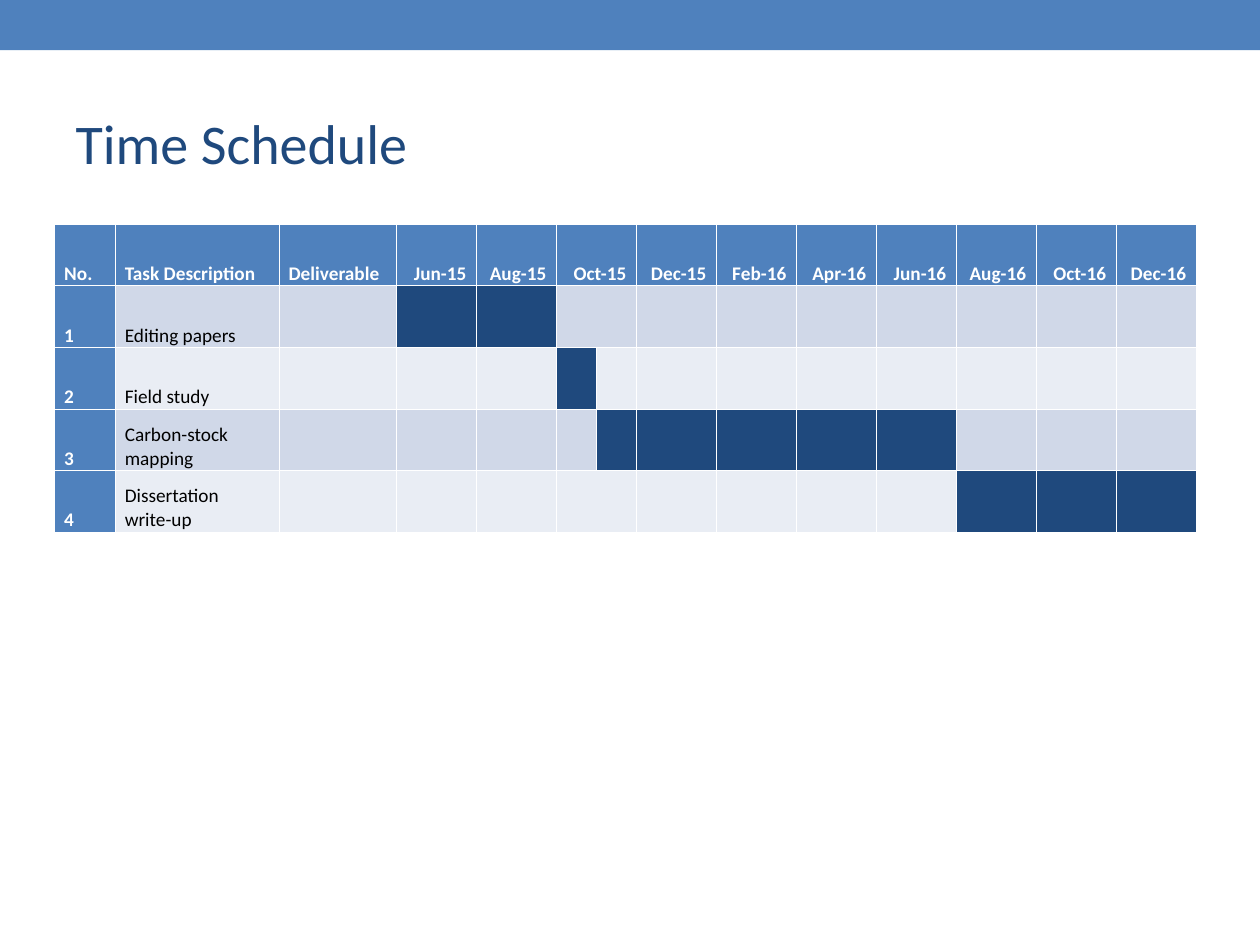
from dataclasses import dataclass

from lxml.etree import SubElement
from pptx import Presentation
from pptx.dml.color import RGBColor as Rgb
from pptx.enum.shapes import MSO_SHAPE as Preset
from pptx.enum.text import MSO_ANCHOR as Anchor, PP_ALIGN as Align
from pptx.oxml.ns import qn
from pptx.util import Pt


@dataclass(frozen=True)
class Theme:
    """Colours, font, type sizes and rule widths of the slide."""
    font: str = "Calibri"
    accent: str = "4F81BD"
    dark: str = "1F497D"
    odd_row: str = "D0D8E8"
    even_row: str = "E9EDF4"
    white: str = "FFFFFF"
    black: str = "000000"
    title_size: float = 32
    table_size: float = 11
    thin: float = 0.23
    thick: float = 0.75


THEME = Theme()
LABELS = ["No.", "Task Description", "Deliverable"]
MONTHS = ["Jun-15", "Aug-15", "Oct-15", "Dec-15", "Feb-16",
          "Apr-16", "Jun-16", "Aug-16", "Oct-16", "Dec-16"]
SPLIT_MONTH = "Oct-15"
TASKS = [
    ("Editing papers", range(3, 5)),
    ("Field study", range(5, 6)),
    ("Carbon-stock mapping", range(6, 11)),
    ("Dissertation write-up", range(11, 14)),
]
LABEL_WIDTHS = [34.6, 93.6, 67]
MONTH_WIDTH = 45.7


def paint(shape, color):
    """Fill a shape or cell with one colour."""
    shape.fill.solid()
    shape.fill.fore_color.rgb = Rgb.from_string(color)


def style_text(paragraph, size, color, bold=False):
    """Format every run of a paragraph."""
    for run in paragraph.runs:
        run.font.name = THEME.font
        run.font.size = Pt(size)
        run.font.bold = bold
        run.font.color.rgb = Rgb.from_string(color)


def place(shape, box):
    """Move a shape to a box of left, top, width and height."""
    shape.left, shape.top, shape.width, shape.height = map(Pt, box)


def add_band(slide, box):
    """Draw the coloured band across the top."""
    band = slide.shapes.add_shape(Preset.RECTANGLE, *map(Pt, box))
    band.shadow.inherit = False
    paint(band, THEME.accent)
    band.line.fill.background()


def add_title(slide, box):
    """Fill the title placeholder."""
    title = slide.shapes.title
    place(title, box)
    frame = title.text_frame
    frame.text = "Time Schedule"
    frame.vertical_anchor = Anchor.MIDDLE
    frame.paragraphs[0].alignment = Align.LEFT
    style_text(frame.paragraphs[0], THEME.title_size, THEME.dark)


def rule_cell(cell, row):
    """Draw white cell borders, thicker between header and body."""
    properties = cell._tc.get_or_add_tcPr()
    widths = {"lnL": THEME.thin, "lnR": THEME.thin,
              "lnT": THEME.thick if row == 1 else THEME.thin,
              "lnB": THEME.thick if row == 0 else THEME.thin}
    for side, width in widths.items():
        line = SubElement(properties, qn(f"a:{side}"), w=str(int(Pt(width))))
        fill = SubElement(line, qn("a:solidFill"))
        SubElement(fill, qn("a:srgbClr"), val=THEME.white)


def format_cell(cell, row, color):
    """Set the borders, fill, margins and anchor of a cell."""
    rule_cell(cell, row)
    paint(cell, color)
    cell.margin_left = cell.margin_right = Pt(5.5)
    cell.margin_top = cell.margin_bottom = Pt(0)
    cell.vertical_anchor = Anchor.BOTTOM


def write_cell(cell, text, color, bold, alignment=Align.LEFT):
    """Write one line of table text."""
    cell.text_frame.text = text
    paragraph = cell.text_frame.paragraphs[0]
    paragraph.alignment = alignment
    paragraph.line_spacing = 1.02
    style_text(paragraph, THEME.table_size, color, bold)


def add_schedule(slide, box):
    """Build the schedule table, with one month split in two halves."""
    widths = LABEL_WIDTHS + [MONTH_WIDTH] * len(MONTHS)
    half = len(LABELS) + MONTHS.index(SPLIT_MONTH)
    widths[half:half + 1] = [MONTH_WIDTH / 2] * 2
    table = slide.shapes.add_table(len(TASKS) + 1, len(widths), *map(Pt, box)).table
    table.horz_banding = False
    for column, width in zip(table.columns, widths):
        column.width = Pt(width)
    for row in table.rows:
        row.height = Pt(box[3] / len(table.rows))

    headers = LABELS + MONTHS
    headers.insert(half + 1, "")
    for column, header in enumerate(headers):
        cell = table.cell(0, column)
        format_cell(cell, 0, THEME.accent)
        if header:
            side = Align.RIGHT if header in MONTHS else Align.LEFT
            write_cell(cell, header, THEME.white, True, side)
    table.cell(0, half).merge(table.cell(0, half + 1))

    for row, (task, bar) in enumerate(TASKS, 1):
        band = THEME.odd_row if row % 2 else THEME.even_row
        for column in range(len(widths)):
            color = THEME.dark if column in bar else THEME.accent if column == 0 else band
            format_cell(table.cell(row, column), row, color)
        write_cell(table.cell(row, 0), str(row), THEME.white, True)
        write_cell(table.cell(row, 1), task, THEME.black, False)
        if (half in bar) == (half + 1 in bar):
            table.cell(row, half).merge(table.cell(row, half + 1))


def main():
    """Build and save the slide."""
    deck = Presentation()
    deck.slide_width, deck.slide_height = Pt(720), Pt(540)
    slide = deck.slides.add_slide(deck.slide_layouts[5])
    add_band(slide, (0, 0, 720, 28.6))
    add_title(slide, (36, 42, 648, 78))
    add_schedule(slide, (31.2, 128.2, 652.2, 176))
    deck.save("out.pptx")


if __name__ == "__main__":
    main()
